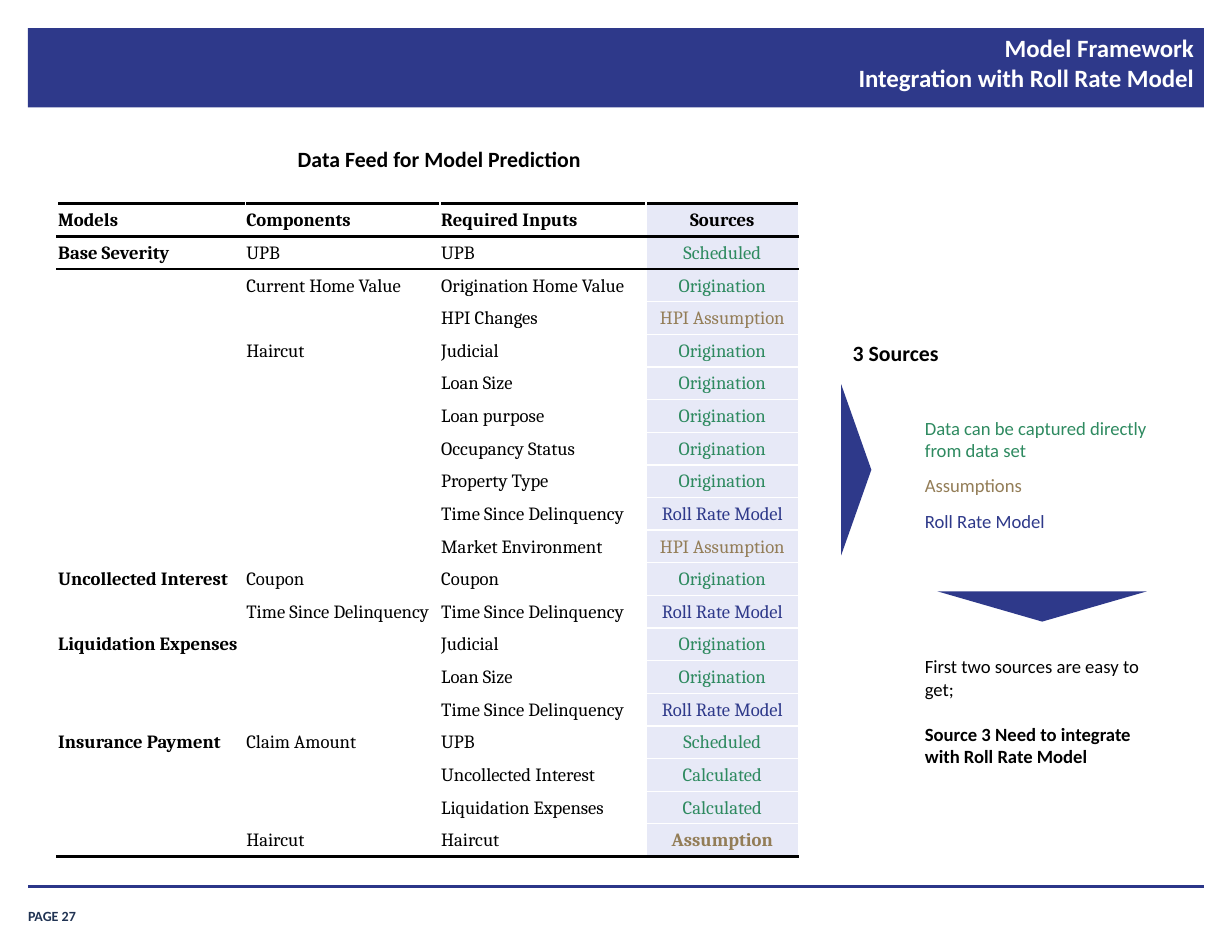
"""Build the slide on the data feed that links the model framework to the roll rate model."""
from lxml import etree
from pptx import Presentation, util as u
from pptx.dml.color import RGBColor
from pptx.enum import shapes, text
from pptx.oxml import ns

NAVY, GREEN, TAN, BLACK, WHITE = "2E398A", "2E8A60", "937D57", "000000", "FFFFFF"
LEFT, CENTER, RIGHT = text.PP_ALIGN.LEFT, text.PP_ALIGN.CENTER, text.PP_ALIGN.RIGHT
rgb = RGBColor.from_string


def grid(*cells):
    """Turn counts of quarter-inch grid cells into lengths."""
    return [u.Inches(count / 4) for count in cells]


def write(frame, *lines, font="Calibri", size=12, color=BLACK, bold=False, align=LEFT, gap=0):
    """Fill a text frame with one paragraph per line."""
    frame.word_wrap = True
    for number, line in enumerate(lines):
        paragraph = frame.add_paragraph() if number else frame.paragraphs[0]
        paragraph.alignment = align
        if number and gap:
            paragraph.space_before = u.Pt(gap)
        if not line:
            etree.SubElement(paragraph._p, ns.qn("a:endParaRPr"), sz=str(size * 100))
            continue
        run = paragraph.add_run()
        run.text = line
        run.font.name, run.font.size, run.font.bold = font, u.Pt(size), bold
        run.font.color.rgb = rgb(color)


deck = Presentation()
deck.slide_width, deck.slide_height = grid(44, 34)
slide = deck.slides.add_slide(deck.slide_layouts[6])

RECTANGLE = shapes.MSO_SHAPE.RECTANGLE
TRIANGLE = shapes.MSO_SHAPE.ISOSCELES_TRIANGLE
for preset, place, turn in [
    (RECTANGLE, (1, 1, 42, 2.84), 0),
    (TRIANGLE, (27.52, 16.24, 6.12, 1.08), 90),
    (TRIANGLE, (33.48, 21.12, 7.48, 1.08), 180),
]:
    block = slide.shapes.add_shape(preset, *grid(*place))
    block.rotation = turn
    block.shadow.inherit = False
    block.fill.solid()
    block.fill.fore_color.rgb = rgb(NAVY)
    block.line.fill.background()

footer_rule = slide.shapes.add_connector(shapes.MSO_CONNECTOR.STRAIGHT, *grid(1, 31.66, 43, 31.66))
footer_rule.line.color.rgb = rgb("2B3689")
footer_rule.line.width = u.Pt(2)
etree.SubElement(footer_rule._element.spPr, ns.qn("a:effectLst"))

page = slide.shapes.add_textbox(*grid(1, 32.08, 3.64, 0.92)).text_frame
page.margin_left = page.margin_top = page.margin_right = page.margin_bottom = 0
page.vertical_anchor = text.MSO_ANCHOR.BOTTOM
write(page, "PAGE 27", size=9, color="203353", bold=True)

for place, lines, style in [
    ((13.28, 0.96, 29.76, 2.96), ["Model Framework", "Integration with Roll Rate Model"],
     dict(size=16, color=WHITE, bold=True, align=RIGHT)),
    ((10.24, 5.02, 13, 1.76), ["Data Feed for Model Prediction"], dict(size=14, bold=True)),
    ((30.06, 11.94, 13, 1.76), ["3 Sources"], dict(size=14, bold=True)),
    ((32.64, 14.68, 9.2, 2), ["Data can be captured directly from data set"], dict(color=GREEN)),
    ((32.64, 16.72, 9.2, 1.2), ["Assumptions"], dict(color=TAN)),
    ((32.64, 18, 9.2, 1.2), ["Roll Rate Model"], dict(color=NAVY)),
    ((32.64, 23.2, 9.2, 4.44),
     ["First two sources are easy to get;", "Source 3 Need to integrate with Roll Rate Model"],
     dict(gap=14.5)),
]:
    frame = slide.shapes.add_textbox(*grid(*place)).text_frame
    write(frame, *lines, **style)
frame.paragraphs[1].runs[0].font.bold = True

feed = [
    ("Models", "Components", "Required Inputs", "Sources"),
    ("Base Severity", "UPB", "UPB", "Scheduled"),
    ("", "Current Home Value", "Origination Home Value", "Origination"),
    ("", "", "HPI Changes", "HPI Assumption"),
    ("", "Haircut", "Judicial", "Origination"),
    ("", "", "Loan Size", "Origination"),
    ("", "", "Loan purpose", "Origination"),
    ("", "", "Occupancy Status", "Origination"),
    ("", "", "Property Type", "Origination"),
    ("", "", "Time Since Delinquency", "Roll Rate Model"),
    ("", "", "Market Environment", "HPI Assumption"),
    ("Uncollected Interest", "Coupon", "Coupon", "Origination"),
    ("", "Time Since Delinquency", "Time Since Delinquency", "Roll Rate Model"),
    ("Liquidation Expenses", "", "Judicial", "Origination"),
    ("", "", "Loan Size", "Origination"),
    ("", "", "Time Since Delinquency", "Roll Rate Model"),
    ("Insurance Payment", "Claim Amount", "UPB", "Scheduled"),
    ("", "", "Uncollected Interest", "Calculated"),
    ("", "", "Liquidation Expenses", "Calculated"),
    ("", "Haircut", "Haircut", "Assumption"),
]
source_colors = {"HPI Assumption": TAN, "Assumption": TAN, "Roll Rate Model": NAVY, "Sources": BLACK}
last = len(feed) - 1
feed_table = slide.shapes.add_table(len(feed), 4, *grid(2.04, 7.28, 26.48, 23.32)).table
for column, width in zip(feed_table.columns, grid(6.72, 6.96, 7.36, 5.44)):
    column.width = width

for r, entries in enumerate(feed):
    edges = {0: ["a:lnT", "a:lnB"], 1: ["a:lnT"], last: ["a:lnB"]}.get(r, [])
    for c, entry in enumerate(entries):
        is_source = c == 3
        cell = feed_table.cell(r, c)
        cell.margin_left = cell.margin_right = cell.margin_top = u.Inches(0.01)
        cell.margin_bottom = 0
        cell.vertical_anchor = text.MSO_ANCHOR.MIDDLE
        for edge in edges:
            border = etree.SubElement(cell._tc.get_or_add_tcPr(), ns.qn(edge), w=str(u.Pt(2)))
            ink = etree.SubElement(border, ns.qn("a:solidFill"))
            etree.SubElement(ink, ns.qn("a:srgbClr"), val=BLACK)
        cell.fill.solid()
        cell.fill.fore_color.rgb = rgb("E7E9F7" if is_source else WHITE)
        write(cell.text_frame, entry, font="Cambria",
              color=source_colors.get(entry, GREEN) if is_source else BLACK,
              bold=r == 0 or c == 0 or entry == "Assumption",
              align=CENTER if is_source else LEFT)

deck.save("out.pptx")
